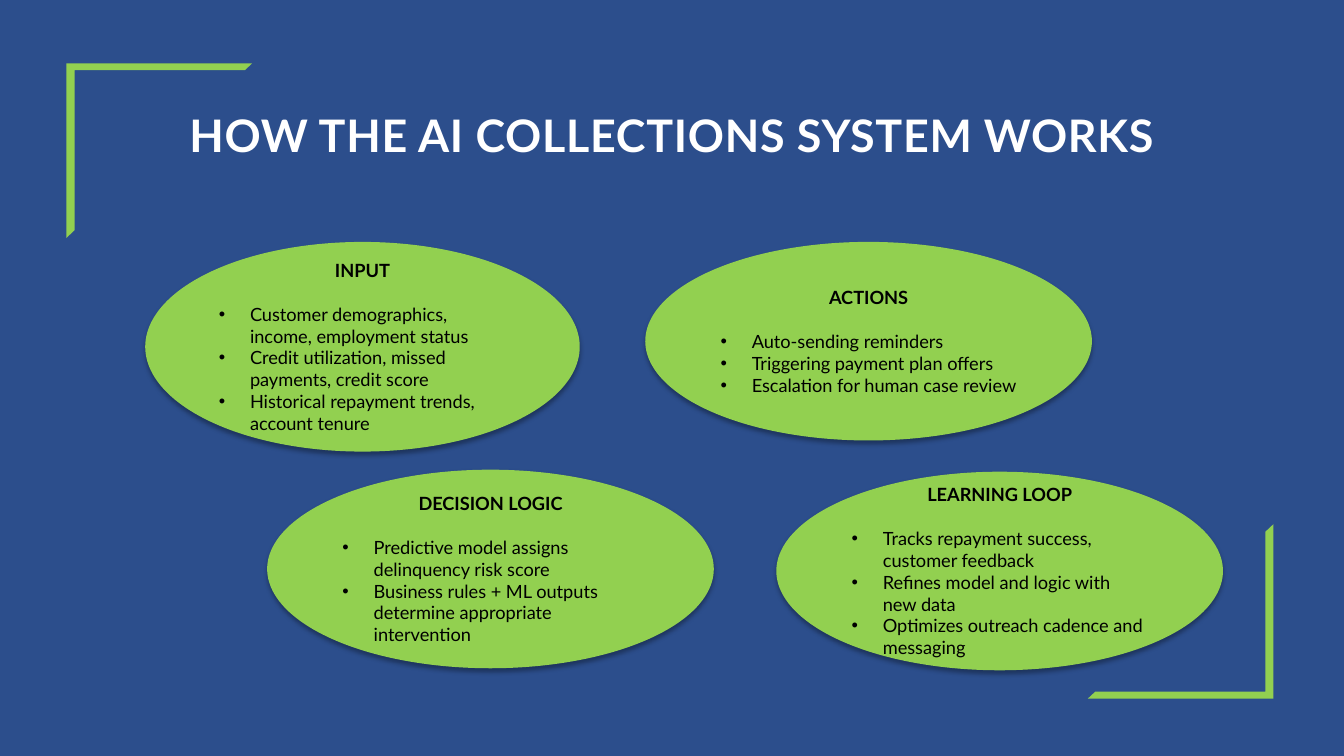
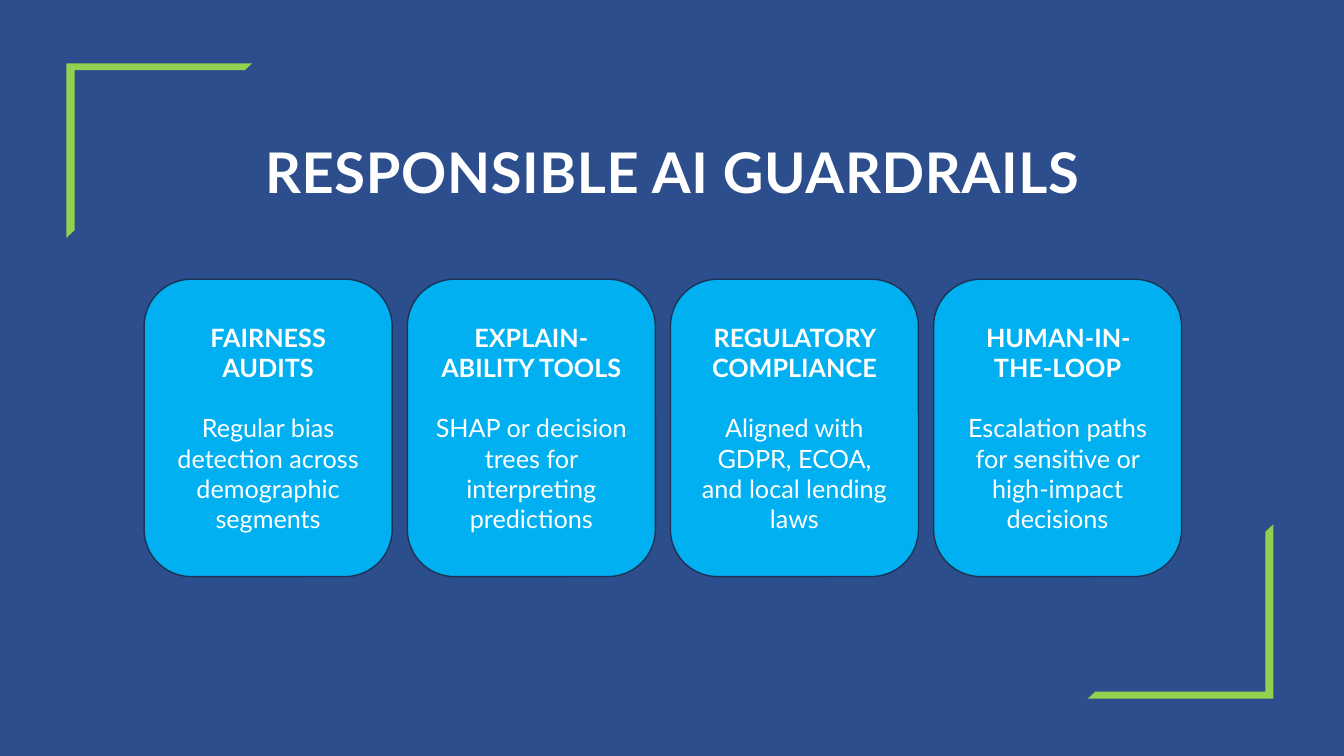
from lxml.etree import SubElement
from pptx import Presentation
from pptx.dml.color import RGBColor
from pptx.enum.shapes import MSO_SHAPE
from pptx.enum.text import MSO_ANCHOR, PP_ALIGN
from pptx.oxml.ns import qn
from pptx.util import Inches, Pt

NAVY = RGBColor(0x2C, 0x4E, 0x8C)
GREEN = RGBColor(0x92, 0xD0, 0x50)
SKY = RGBColor(0x00, 0xB0, 0xF0)
EDGE = RGBColor(0x1E, 0x32, 0x56)
WHITE = RGBColor(0xFF, 0xFF, 0xFF)
BLACK = RGBColor(0x00, 0x00, 0x00)


class Deck:
    font = "Lato"
    leading = 1.2

    def __init__(self):
        self.prs = Presentation()
        self.prs.slide_width = Inches(13.33)
        self.prs.slide_height = Inches(7.5)
        self.slide = None

    def page(self, title, box, size):
        self.slide = self.prs.slides.add_slide(self.prs.slide_layouts[6])
        fill = self.slide.background.fill
        fill.solid()
        fill.fore_color.rgb = NAVY
        self.corner(0.66, 0.63, 0)
        self.corner(10.79, 5.2, 180)
        self.title(title, box, size)

    def shape(self, kind, box, color):
        shape = self.slide.shapes.add_shape(kind, *map(Inches, box))
        shape.shadow.inherit = False
        shape.fill.solid()
        shape.fill.fore_color.rgb = color
        shape.line.fill.background()
        return shape

    def corner(self, left, top, angle):
        frame = self.shape(MSO_SHAPE.HALF_FRAME, (left, top, 1.84, 1.73), GREEN)
        frame.adjustments[0] = 0.039
        frame.adjustments[1] = 0.046
        frame.rotation = angle

    def label(self, para, text, size, color, bold=False, align=PP_ALIGN.CENTER):
        para.alignment = align
        run = para.add_run()
        run.text = text
        run.font.name = self.font
        run.font.size = Pt(size)
        run.font.bold = bold
        run.font.color.rgb = color
        return run

    def title(self, text, box, size):
        frame = self.slide.shapes.add_textbox(*map(Inches, box)).text_frame
        frame.word_wrap = True
        run = self.label(frame.paragraphs[0], text, size, WHITE, True)
        run._r.get_or_add_rPr().set("spc", "50")

    def head(self, shape, text, size, color):
        frame = shape.text_frame
        frame.word_wrap = True
        frame.vertical_anchor = MSO_ANCHOR.MIDDLE
        para = frame.paragraphs[0]
        self.label(para, text, size, color, True)
        para.space_after = Pt(size * self.leading)
        return frame

    def bullet(self, para):
        props = para._p.get_or_add_pPr()
        props.set("marL", str(Inches(0.31)))
        props.set("indent", str(-Inches(0.31)))
        SubElement(props, qn("a:buFont"), typeface="Arial")
        SubElement(props, qn("a:buChar"), char="•")

    def shade(self, shape):
        effects = shape._element.spPr.find(qn("a:effectLst"))
        shadow = SubElement(effects, qn("a:outerShdw"), blurRad=str(Pt(3.5)),
                            dist=str(Pt(2.2)), dir="5400000", rotWithShape="0")
        color = SubElement(shadow, qn("a:srgbClr"), val=str(BLACK))
        SubElement(color, qn("a:alpha"), val="32000")

    def oval(self, box, head, points):
        oval = self.shape(MSO_SHAPE.OVAL, box, GREEN)
        self.shade(oval)
        frame = self.head(oval, head, 13, BLACK)
        for point in points:
            para = frame.add_paragraph()
            self.bullet(para)
            self.label(para, point, 13, BLACK, align=PP_ALIGN.LEFT)

    def card(self, box, head, body):
        card = self.shape(MSO_SHAPE.ROUNDED_RECTANGLE, box, SKY)
        card.adjustments[0] = 0.19
        card.line.color.rgb = EDGE
        card.line.width = Pt(1)
        frame = self.head(card, head, 18, WHITE)
        self.label(frame.add_paragraph(), body, 18, WHITE)


STAGES = [
    ((1.44, 2.4, 4.31, 2.08), "INPUT", [
        "Customer demographics, income, employment status",
        "Credit utilization, missed payments, credit score",
        "Historical repayment trends, account tenure"]),
    ((2.65, 4.66, 4.43, 1.97), "DECISION LOGIC", [
        "Predictive model assigns delinquency risk score",
        "Business rules + ML outputs determine appropriate intervention"]),
    ((6.4, 2.4, 4.43, 1.97), "ACTIONS", [
        "Auto-sending reminders",
        "Triggering payment plan offers",
        "Escalation for human case review"]),
    ((7.7, 4.68, 4.43, 1.97), "LEARNING LOOP", [
        "Tracks repayment success, customer feedback",
        "Refines model and logic with new data",
        "Optimizes outreach cadence and messaging"]),
]

GUARDS = [
    ("FAIRNESS AUDITS", "Regular bias detection across demographic segments"),
    ("EXPLAIN-ABILITY TOOLS",
     "SHAP or decision trees for interpreting predictions"),
    ("REGULATORY COMPLIANCE",
     "Aligned with GDPR, ECOA, and local lending laws"),
    ("HUMAN-IN-THE-LOOP",
     "Escalation paths for sensitive or high-impact decisions"),
]


def main():
    deck = Deck()
    deck.page("HOW THE AI COLLECTIONS SYSTEM WORKS",
              (1.34, 1.02, 10.65, 0.64), 32)
    for box, head, points in STAGES:
        deck.oval(box, head, points)

    deck.page("RESPONSIBLE AI GUARDRAILS", (1.67, 1.32, 10, 0.77), 40)
    width, gap = 2.46, 0.15
    for i, (head, body) in enumerate(GUARDS):
        deck.card((1.43 + i * (width + gap), 2.77, width, 2.95), head, body)
    deck.prs.save("out.pptx")


if __name__ == "__main__":
    main()
